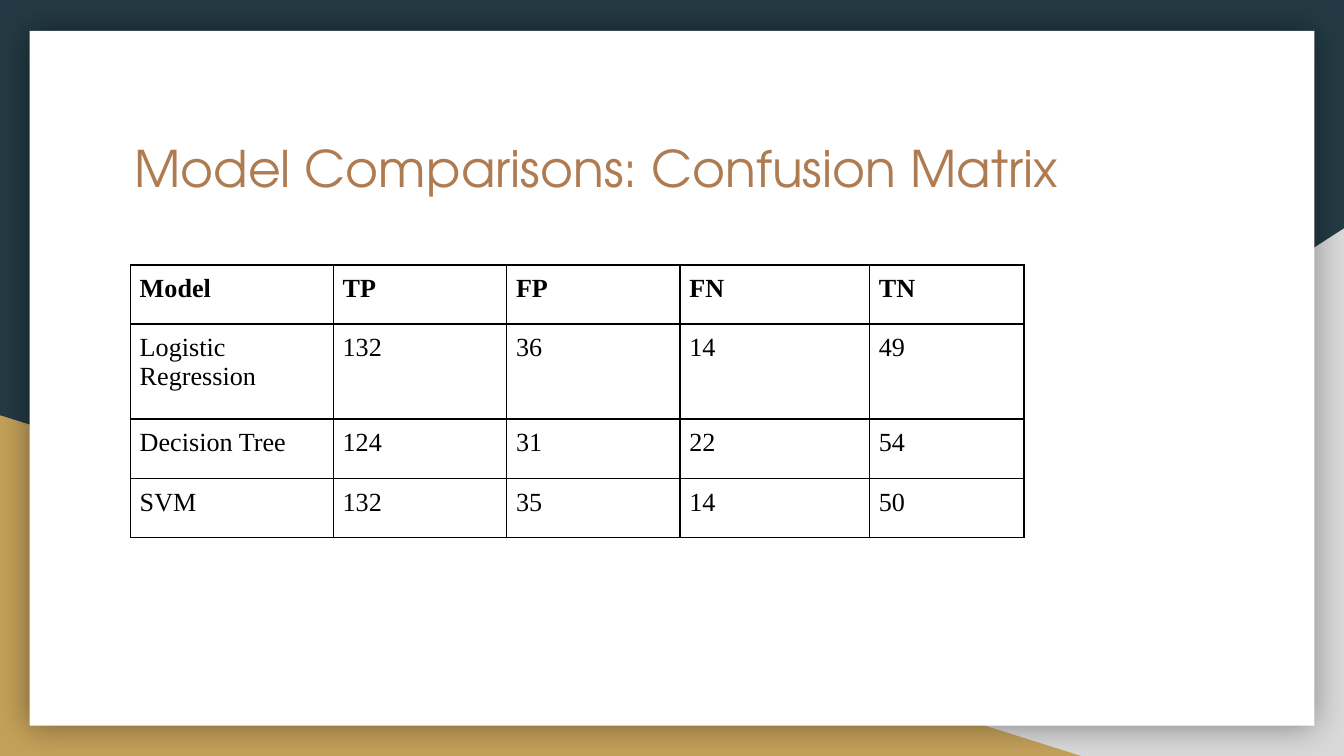
from lxml import etree
from pptx import Presentation
from pptx import util as u
from pptx.dml.color import RGBColor
from pptx.enum import shapes, text
from pptx.oxml import parse_xml
from pptx.oxml.ns import nsdecls, qn

BLACK = "000000"


def paint(fill, color):
    """Make a fill solid in the given hex colour."""
    fill.solid()
    fill.fore_color.rgb = RGBColor.from_string(color)


def write(frame, words, font, size, color, bold=False):
    """Add one styled run to the first paragraph."""
    run = frame.paragraphs[0].add_run()
    run.text = words
    run.font.name = font
    run.font.size = u.Pt(size)
    run.font.bold = bold
    paint(run.font.fill, color)


deck = Presentation()
deck.slide_width = u.Inches(10)
deck.slide_height = u.Inches(10 * 9 / 16)
slide = deck.slides.add_slide(deck.slide_layouts[6])
paint(slide.background.fill, "233A44")

# Corner triangles and the white card
KIND = shapes.MSO_SHAPE
parts = [
    (KIND.RIGHT_TRIANGLE, (3.92, 1.7, 6.08, 3.93), "D9D9D9"),
    (KIND.RIGHT_TRIANGLE, (0, 3.09, 8.06, 2.54), "C4A15A"),
    (KIND.RECTANGLE, (0.22, 0.23, 9.56, 5.17), "FFFFFF"),
]
drawn = []
for kind, box, color in parts:
    shape = slide.shapes.add_shape(kind, *map(u.Inches, box))
    shape.shadow.inherit = False
    paint(shape.fill, color)
    shape.line.fill.background()
    drawn.append(shape)

grey, gold, card = drawn
grey.element.spPr.find(qn("a:xfrm")).set("flipH", "1")
glow = card.element.spPr.find(qn("a:effectLst"))
glow.append(parse_xml(
    f'<a:outerShdw {nsdecls("a")} blurRad="{u.Pt(18)}" dist="0" dir="0" '
    f'algn="ctr" rotWithShape="0"><a:srgbClr val="{BLACK}">'
    '<a:alpha val="40000"/></a:srgbClr></a:outerShdw>'))

# Title
title = slide.shapes.add_textbox(*map(u.Inches, (0.9, 0.92, 8.21, 1.04)))
frame = title.text_frame
frame.word_wrap = True
frame.vertical_anchor = text.MSO_ANCHOR.TOP
frame.margin_left = frame.margin_right = u.Inches(0.1)
frame.margin_top = frame.margin_bottom = u.Inches(0.1)
write(frame, "Model Comparisons: Confusion Matrix",
      "TeX Gyre Adventor", 27, "AF7B51")

# Confusion matrix
rows = [
    ("Model", "TP", "FP", "FN", "TN"),
    ("Logistic Regression", "132", "36", "14", "49"),
    ("Decision Tree", "124", "31", "22", "54"),
    ("SVM", "132", "35", "14", "50"),
]
widths = [1.51, 1.29, 1.29, 1.41, 1.15]
heights = [0.44, 0.71, 0.44, 0.44]
table = slide.shapes.add_table(
    len(rows), len(widths), u.Inches(0.97), u.Inches(1.97),
    u.Inches(sum(widths)), u.Inches(sum(heights))).table
for col, width in zip(table.columns, widths):
    col.width = u.Inches(width)
for row, height in zip(table.rows, heights):
    row.height = u.Inches(height)

for r, row in enumerate(rows):
    for c, words in enumerate(row):
        cell = table.cell(r, c)
        cell.margin_left = cell.margin_right = u.Inches(0.07)
        cell.margin_top = cell.margin_bottom = u.Inches(0.07)
        write(cell.text_frame, words, "Times New Roman", 14, BLACK, r == 0)
        props = cell._tc.get_or_add_tcPr()
        for side in ("lnL", "lnR", "lnT", "lnB"):
            line = etree.SubElement(props, qn(f"a:{side}"), w=str(u.Pt(1)))
            solid = etree.SubElement(line, qn("a:solidFill"))
            etree.SubElement(solid, qn("a:srgbClr"), val=BLACK)
        cell.fill.background()

deck.save("out.pptx")
